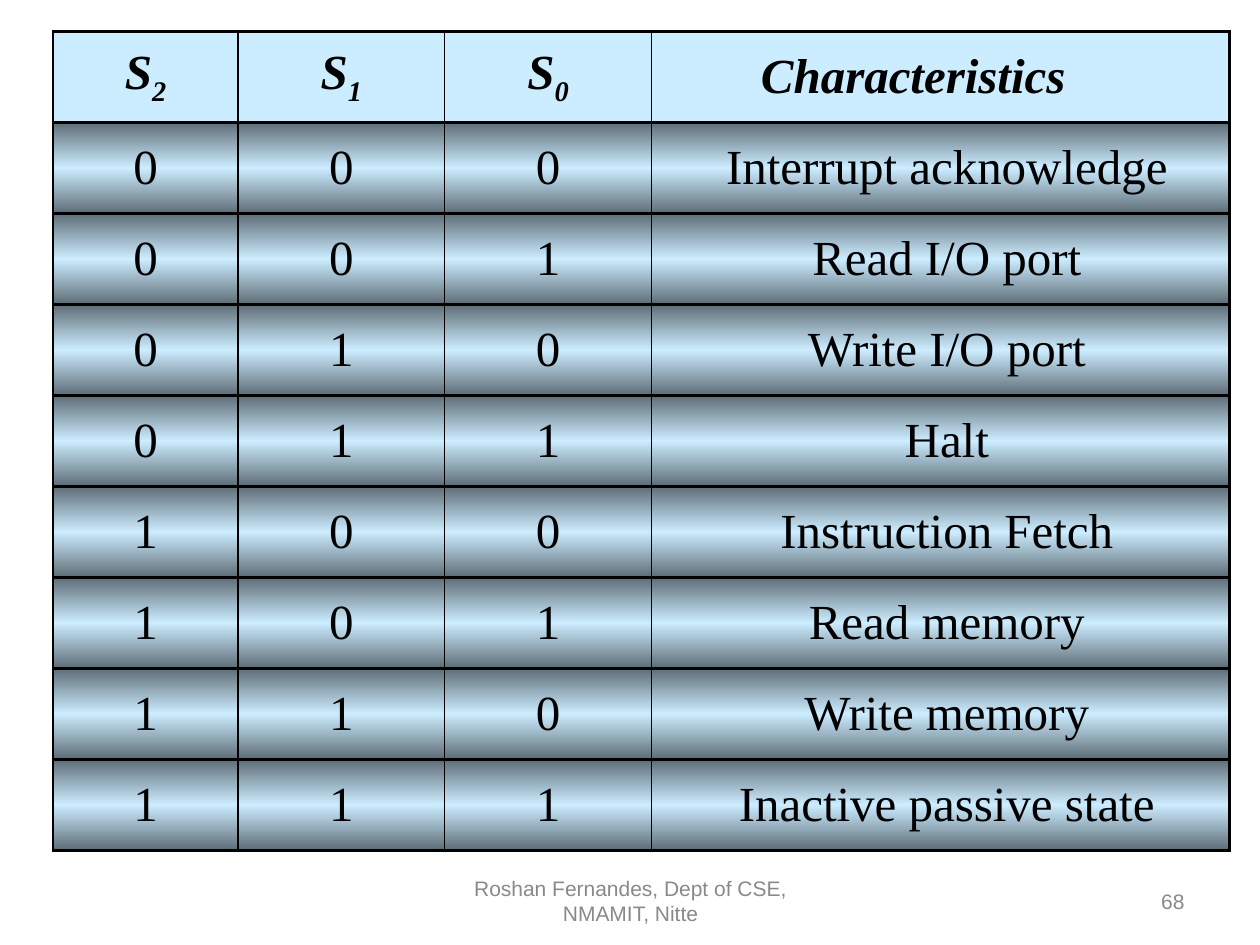
"""Build the bus status signal table slide."""
from typing import NamedTuple

from lxml.etree import SubElement
from pptx import Presentation
from pptx.dml.color import RGBColor
from pptx.enum.text import MSO_ANCHOR, PP_ALIGN
from pptx.oxml.ns import qn
from pptx.util import Inches, Pt

COLORS = {"ink": "000000", "light": "CCECFF", "dark": "5E6D76", "gray": "898989"}
COLS = (1.47, 1.64, 1.64, 4.59)
HEIGHT = 6.5
HANG = 0.38
NUDGE = 0.1
THICK, THIN = 1.75, 1
BANDS = ((0, "dark"), (50, "light"), (100, "dark"))


class State(NamedTuple):
    """A three-bit status code and its meaning."""
    bits: str
    name: str


class Note(NamedTuple):
    """A footer text with its place."""
    text: str
    left: float
    width: float
    align: PP_ALIGN


STATES = (
    State("000", "Interrupt acknowledge"),
    State("001", "Read I/O port"),
    State("010", "Write I/O port"),
    State("011", "Halt"),
    State("100", "Instruction Fetch"),
    State("101", "Read memory"),
    State("110", "Write memory"),
    State("111", "Inactive passive state"),
)
NOTES = (
    Note("Roshan Fernandes, Dept of CSE, NMAMIT, Nitte", 3.42, 3.17, PP_ALIGN.CENTER),
    Note("68", 7.17, 2.33, PP_ALIGN.RIGHT),
)


def write(frame, text: str, *, sub: str = "", size: float = 28,
          face: str = "Times New Roman", color: str = "ink", bold: bool = False,
          align: PP_ALIGN = PP_ALIGN.CENTER, left: float = 0, first: float = 0) -> None:
    """Write one formatted paragraph with an optional subscript."""
    para = frame.paragraphs[0]
    para.alignment = align
    props = para._p.get_or_add_pPr()
    props.set("marL", str(Inches(left)))
    props.set("indent", str(Inches(first)))
    for part in filter(None, (text, sub)):
        run = para.add_run()
        run.text = part
        font = run.font
        font.name, font.size = face, Pt(size)
        font.bold = font.italic = bold
        font.color.rgb = RGBColor.from_string(COLORS[color])
    if sub:
        run._r.get_or_add_rPr().set("baseline", "-25000")


def tint(node, color: str) -> None:
    """Add a colour to an XML fill node."""
    SubElement(node, qn("a:srgbClr"), val=COLORS[color])


def frame_cell(cell, col: int) -> None:
    """Draw the borders of a cell, thin between columns."""
    widths = {"L": THIN if col else THICK,
              "R": THIN if col < len(COLS) - 1 else THICK,
              "T": THICK, "B": THICK}
    for side, width in widths.items():
        line = SubElement(cell._tc.get_or_add_tcPr(), qn(f"a:ln{side}"), w=str(Pt(width)))
        tint(SubElement(line, qn("a:solidFill")), "ink")


def shade(cell) -> None:
    """Fill a cell with a dark, light, dark vertical gradient."""
    grad = SubElement(cell._tc.get_or_add_tcPr(), qn("a:gradFill"), rotWithShape="1")
    stops = SubElement(grad, qn("a:gsLst"))
    for spot, color in BANDS:
        tint(SubElement(stops, qn("a:gs"), pos=str(spot * 1000)), color)
    SubElement(grad, qn("a:lin"), ang="5400000", scaled="1")


def add_grid(slide) -> None:
    """Add the status table."""
    rows = len(STATES) + 1
    grid = slide.shapes.add_table(rows, len(COLS), Inches(0.42), Inches(0.25),
                                  Inches(sum(COLS)), Inches(HEIGHT)).table
    for col, width in zip(grid.columns, COLS):
        col.width = Inches(width)
    for row in grid.rows:
        row.height = Inches(HEIGHT / rows)
        for col, cell in enumerate(row.cells):
            cell.vertical_anchor = MSO_ANCHOR.MIDDLE
            frame_cell(cell, col)
    for col in range(len(COLS)):
        cell = grid.cell(0, col)
        cell.fill.solid()
        cell.fill.fore_color.rgb = RGBColor.from_string(COLORS["light"])
        if col < 3:
            write(cell.text_frame, "S", sub=str(2 - col), bold=True, left=HANG, first=-HANG)
        else:
            write(cell.text_frame, "Characteristics", bold=True,
                  align=PP_ALIGN.LEFT, left=0.77)
    for row, state in enumerate(STATES, 1):
        for col, text in enumerate((*state.bits, state.name)):
            cell = grid.cell(row, col)
            shade(cell)
            nudge = NUDGE if col == 3 else 0
            write(cell.text_frame, text, left=HANG, first=nudge - HANG)


def add_note(slide, note: Note) -> None:
    """Add a footer text box."""
    box = slide.shapes.add_textbox(Inches(note.left), Inches(6.95),
                                   Inches(note.width), Inches(0.4))
    frame = box.text_frame
    frame.word_wrap = True
    frame.vertical_anchor = MSO_ANCHOR.MIDDLE
    write(frame, note.text, size=12, face="Arial", color="gray", align=note.align)


def main() -> None:
    """Build and save the slide."""
    deck = Presentation()
    deck.slide_width, deck.slide_height = Inches(10), Inches(7.5)
    slide = deck.slides.add_slide(deck.slide_layouts[6])
    add_grid(slide)
    for note in NOTES:
        add_note(slide, note)
    deck.save("out.pptx")


if __name__ == "__main__":
    main()
